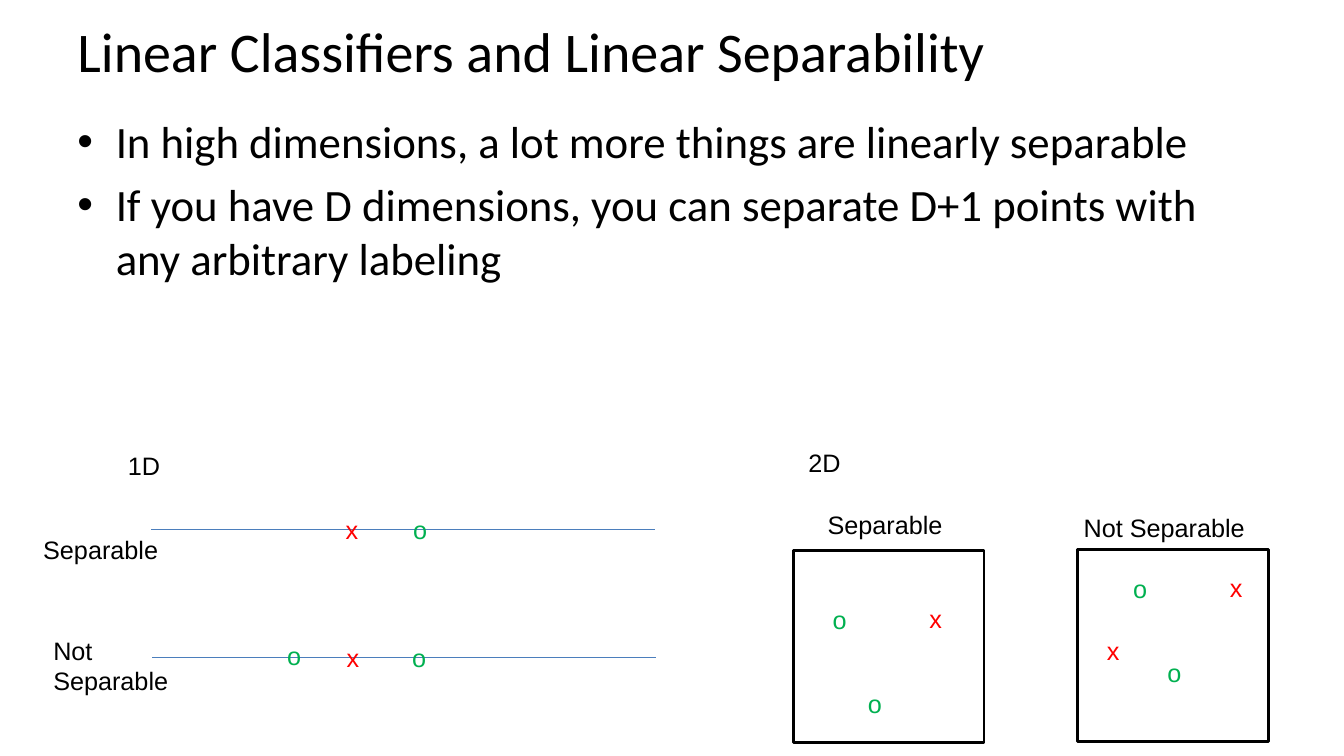
import pptx
import pptx.util
import pptx.dml.color
import pptx.enum.shapes
import pptx.enum.text
import lxml.etree
from pptx.util import Inches
from pptx.oxml.ns import qn

COLORS = {"ink": "000000", "axis": "4B7EBC", "x": "FF0000", "o": "00B050"}
MARK_WIDTH = {"x": 0.33, "o": 0.34}
LINE_HEIGHT = 0.4


def rgb(name):
    return pptx.dml.color.RGBColor.from_string(COLORS[name])


def add_bullet(paragraph, indent):
    properties = paragraph._p.get_or_add_pPr()
    properties.set("marL", str(Inches(indent)))
    properties.set("indent", str(-Inches(indent)))
    font = lxml.etree.SubElement(properties, qn("a:buFont"))
    font.set("typeface", "Arial")
    lxml.etree.SubElement(properties, qn("a:buChar")).set("char", "•")


def add_text(shapes, text, left, top, width, height=LINE_HEIGHT, *, size=18,
             face="Arial", color="ink", wrap=False, middle=False, bullets=False):
    box = shapes.add_textbox(Inches(left), Inches(top), Inches(width), Inches(height))
    frame = box.text_frame
    frame.word_wrap = wrap
    if middle:
        frame.vertical_anchor = pptx.enum.text.MSO_ANCHOR.MIDDLE
    frame.text = text
    for number, paragraph in enumerate(frame.paragraphs):
        if bullets:
            add_bullet(paragraph, 0.38)
        if number:
            paragraph.space_before = pptx.util.Pt(size * 0.2)
        for run in paragraph.runs:
            run.font.size = pptx.util.Pt(size)
            run.font.name = face
            run.font.color.rgb = rgb(color)


def add_marks(shapes, marks, left, top):
    """Place class marks, given as (letter, x, y), relative to a corner."""
    for letter, x, y in marks:
        add_text(shapes, letter, left + x, top + y, MARK_WIDTH[letter], color=letter)


def add_number_line(shapes, left, top, marks):
    axis = shapes.add_connector(pptx.enum.shapes.MSO_CONNECTOR.STRAIGHT, Inches(left),
                                Inches(top), Inches(left + 5), Inches(top))
    axis.line.color.rgb = rgb("axis")
    axis.line.width = pptx.util.Pt(0.75)
    lxml.etree.SubElement(axis._element.spPr, qn("a:effectLst"))
    add_marks(shapes, marks, left, top)


def add_plane(shapes, left, top, marks):
    plane = shapes.add_group_shape().shapes
    add_marks(plane, marks, left, top)
    border = plane.add_shape(pptx.enum.shapes.MSO_SHAPE.RECTANGLE, Inches(left),
                             Inches(top), Inches(1.89), Inches(1.91))
    border.shadow.inherit = False
    border.fill.background()
    border.line.color.rgb = rgb("ink")
    border.line.width = pptx.util.Pt(2)


def add_heading_and_points(shapes, left, top, width):
    add_text(shapes, "Linear Classifiers and Linear Separability", left, top, width, 1,
             size=40, face="Calibri", wrap=True, middle=True)
    add_text(shapes, "In high dimensions, a lot more things are linearly separable\n"
             "If you have D dimensions, you can separate D+1 points with any "
             "arbitrary labeling", left, top + 1.08, width, 5.62,
             size=32, face="Calibri", wrap=True, bullets=True)


def add_one_dimension(shapes, left, top):
    add_text(shapes, "1D", left + 0.84, top, 0.52)
    add_number_line(shapes, left + 1.17, top + 0.83,
                    [("x", 1.83, -0.2), ("o", 2.5, -0.2)])
    add_number_line(shapes, left + 1.18, top + 2.1,
                    [("x", 1.83, -0.2), ("o", 1.24, -0.22), ("o", 2.48, -0.2)])
    add_text(shapes, "Separable", left, top + 0.83, 1.35)
    add_text(shapes, "Not Separable", left + 0.1, top + 1.83, 1.35, 0.71, wrap=True)


def add_two_dimensions(shapes, left, top):
    add_text(shapes, "2D", left + 0.05, top, 0.52)
    add_plane(shapes, left, top + 1.07,
              [("x", 1.25, 0.48), ("o", 0.29, 0.49), ("o", 0.64, 1.32)])
    add_plane(shapes, left + 2.82, top + 1.06,
              [("x", 1.41, 0.18), ("o", 0.45, 0.19), ("o", 0.79, 1.02), ("x", 0.19, 0.8)])
    add_text(shapes, "Separable", left + 0.24, top + 0.61, 1.35)
    add_text(shapes, "Not Separable", left + 2.78, top + 0.64, 1.94, wrap=True)


def main():
    deck = pptx.Presentation()
    deck.slide_width, deck.slide_height = Inches(13.33), Inches(7.5)
    shapes = deck.slides.add_slide(deck.slide_layouts[6]).shapes
    add_heading_and_points(shapes, 0.67, 0, 12)
    add_one_dimension(shapes, 0.33, 4.42)
    add_two_dimensions(shapes, 7.87, 4.39)
    deck.save("out.pptx")


if __name__ == "__main__":
    main()
